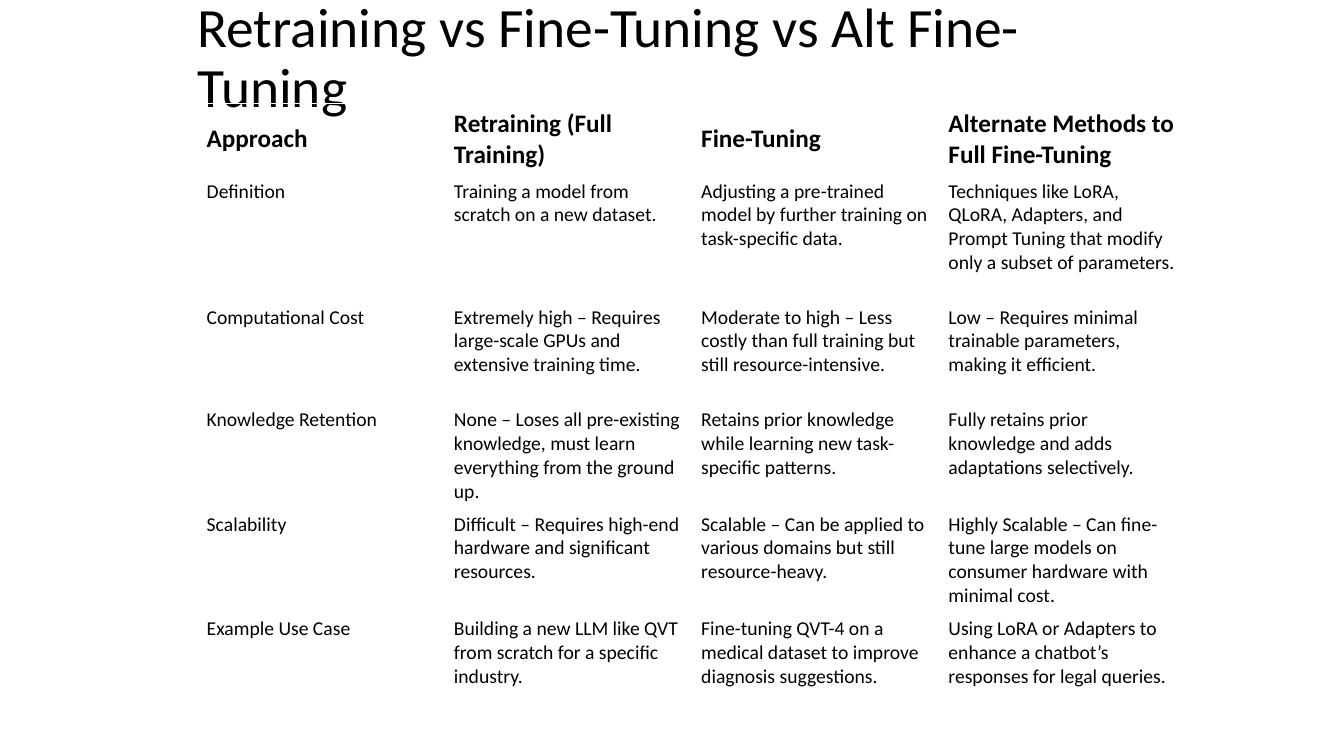
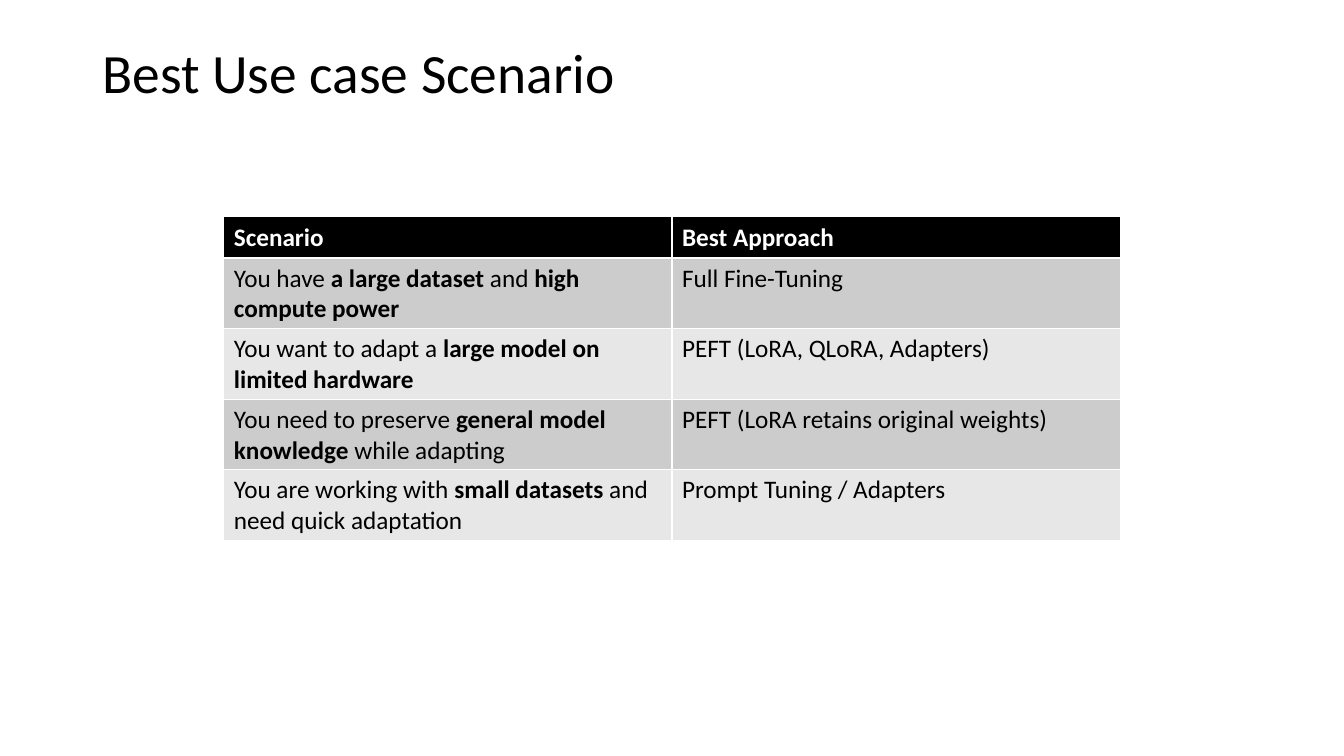
from pptx import Presentation
from pptx.dml.color import RGBColor
from pptx.enum.text import MSO_ANCHOR
from pptx.util import Inches, Pt

MIDDLE = MSO_ANCHOR.MIDDLE
TOP = MSO_ANCHOR.TOP
BLACK = RGBColor(0x00, 0x00, 0x00)
WHITE = RGBColor(0xFF, 0xFF, 0xFF)
DARK = RGBColor(0xCC, 0xCC, 0xCC)
LIGHT = RGBColor(0xE7, 0xE7, 0xE7)
FACE = "Calibri"

deck = Presentation()
deck.slide_width = Inches(13.33)
deck.slide_height = Inches(7.5)


def style(par, size, color, bold=False):
    par.font.name = FACE
    par.font.size = Pt(size)
    par.font.color.rgb = color
    par.font.bold = bold


def add_page(title, box, rows, spot, heights, body, banded):
    """Add a slide with a title and a table; *stars* mark bold words."""
    slide = deck.slides.add_slide(deck.slide_layouts[6])

    # Title
    frame = slide.shapes.add_textbox(*map(Inches, box)).text_frame
    frame.word_wrap = True
    frame.vertical_anchor = MIDDLE
    par = frame.paragraphs[0]
    par.text = title
    par.line_spacing = 0.9
    style(par, 39.6, BLACK)

    # Table
    left, top, width = spot
    table = slide.shapes.add_table(
        len(rows), len(rows[0]), Inches(left), Inches(top),
        Inches(width), Inches(sum(heights))).table
    table.first_row = banded
    table.horz_banding = banded
    for r, texts in enumerate(rows):
        table.rows[r].height = Inches(heights[r])
        head = r == 0
        for c, text in enumerate(texts):
            cell = table.cell(r, c)
            cell.vertical_anchor = MIDDLE if head else TOP
            if banded:
                cell.fill.solid()
                cell.fill.fore_color.rgb = BLACK if head else DARK if r % 2 else LIGHT
            else:
                cell.fill.background()
            par = cell.text_frame.paragraphs[0]
            style(par, 18 if head else body, WHITE if head and banded else BLACK, head)
            for i, part in enumerate(text.split("*")):
                if part:
                    run = par.add_run()
                    run.text = part
                    if i % 2:
                        run.font.bold = True


# Slide 1: comparison of approaches
methods = [
    ["Approach", "Retraining (Full Training)", "Fine-Tuning",
     "Alternate Methods to Full Fine-Tuning"],
    ["Definition",
     "Training a model from scratch on a new dataset.",
     "Adjusting a pre-trained model by further training on task-specific data.",
     "Techniques like LoRA, QLoRA, Adapters, and Prompt Tuning that modify "
     "only a subset of parameters."],
    ["Computational Cost",
     "Extremely high – Requires large-scale GPUs and extensive training time.",
     "Moderate to high – Less costly than full training but still resource-intensive.",
     "Low – Requires minimal trainable parameters, making it efficient."],
    ["Knowledge Retention",
     "None – Loses all pre-existing knowledge, must learn everything from the ground up.",
     "Retains prior knowledge while learning new task-specific patterns.",
     "Fully retains prior knowledge and adds adaptations selectively."],
    ["Scalability",
     "Difficult – Requires high-end hardware and significant resources.",
     "Scalable – Can be applied to various domains but still resource-heavy.",
     "Highly Scalable – Can fine-tune large models on consumer hardware with minimal cost."],
    ["Example Use Case",
     "Building a new LLM like QVT from scratch for a specific industry.",
     "Fine-tuning QVT-4 on a medical dataset to improve diagnosis suggestions.",
     "Using LoRA or Adapters to enhance a chatbot’s responses for legal queries."],
]
add_page("Retraining vs Fine-Tuning vs Alt Fine-Tuning", (1.86, 0.33, 9.81, 0.53),
         methods, (1.95, 1.03, 9.81), [0.69, 1.25] + [1.02] * 4, 14, False)

# Slide 2: best approach per scenario
cases = [
    ["Scenario", "Best Approach"],
    ["You have *a large dataset* and *high compute power*", "Full Fine-Tuning"],
    ["You want to adapt a *large model on limited hardware*",
     "PEFT (LoRA, QLoRA, Adapters)"],
    ["You need to preserve *general model knowledge* while adapting",
     "PEFT (LoRA retains original weights)"],
    ["You are working with *small datasets* and need quick adaptation",
     "Prompt Tuning / Adapters"],
]
add_page("Best Use case Scenario", (0.92, 0.4, 11.5, 0.7),
         cases, (2.22, 2.15, 8.89), [0.41] * 5, 18, True)

deck.save("out.pptx")
